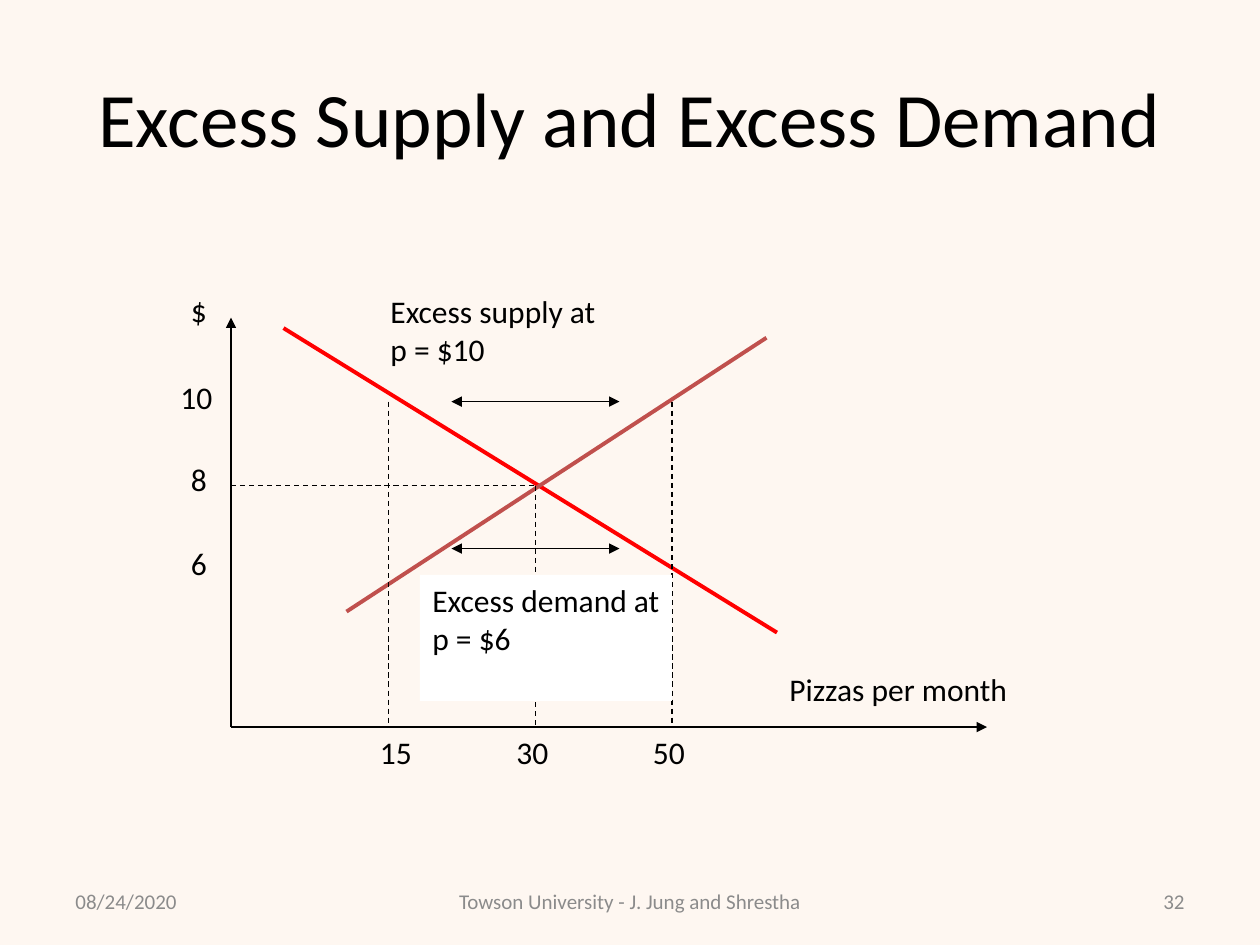
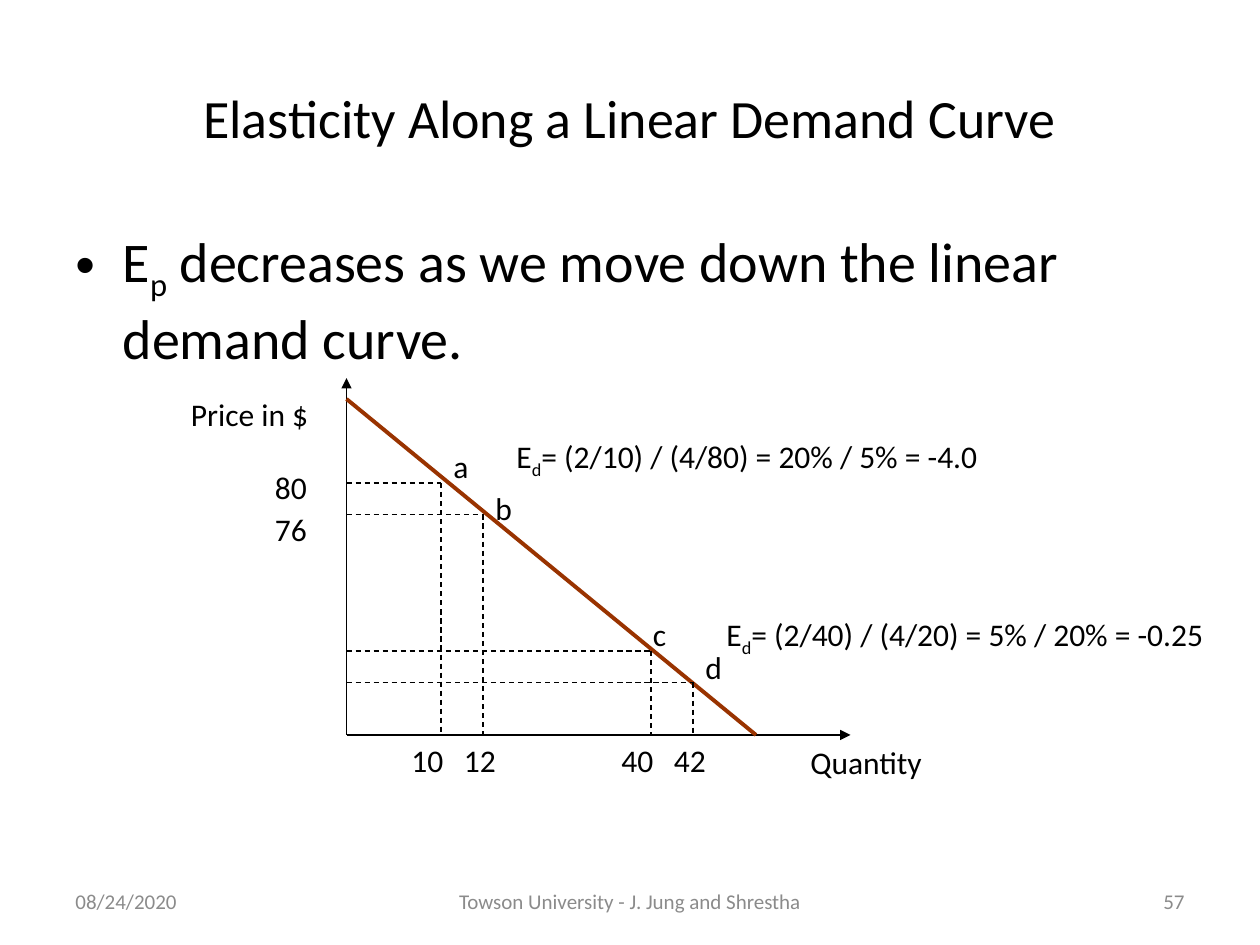
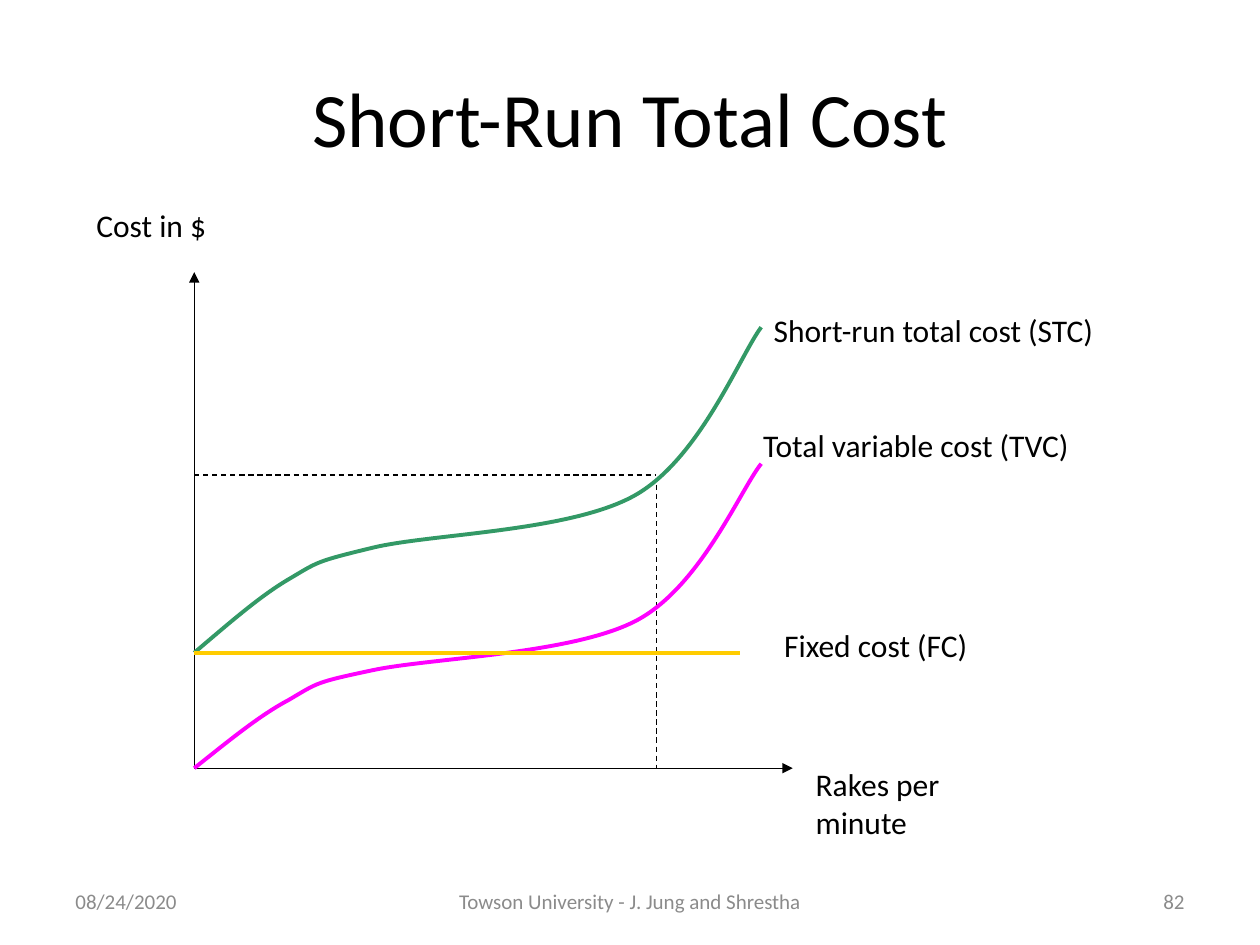
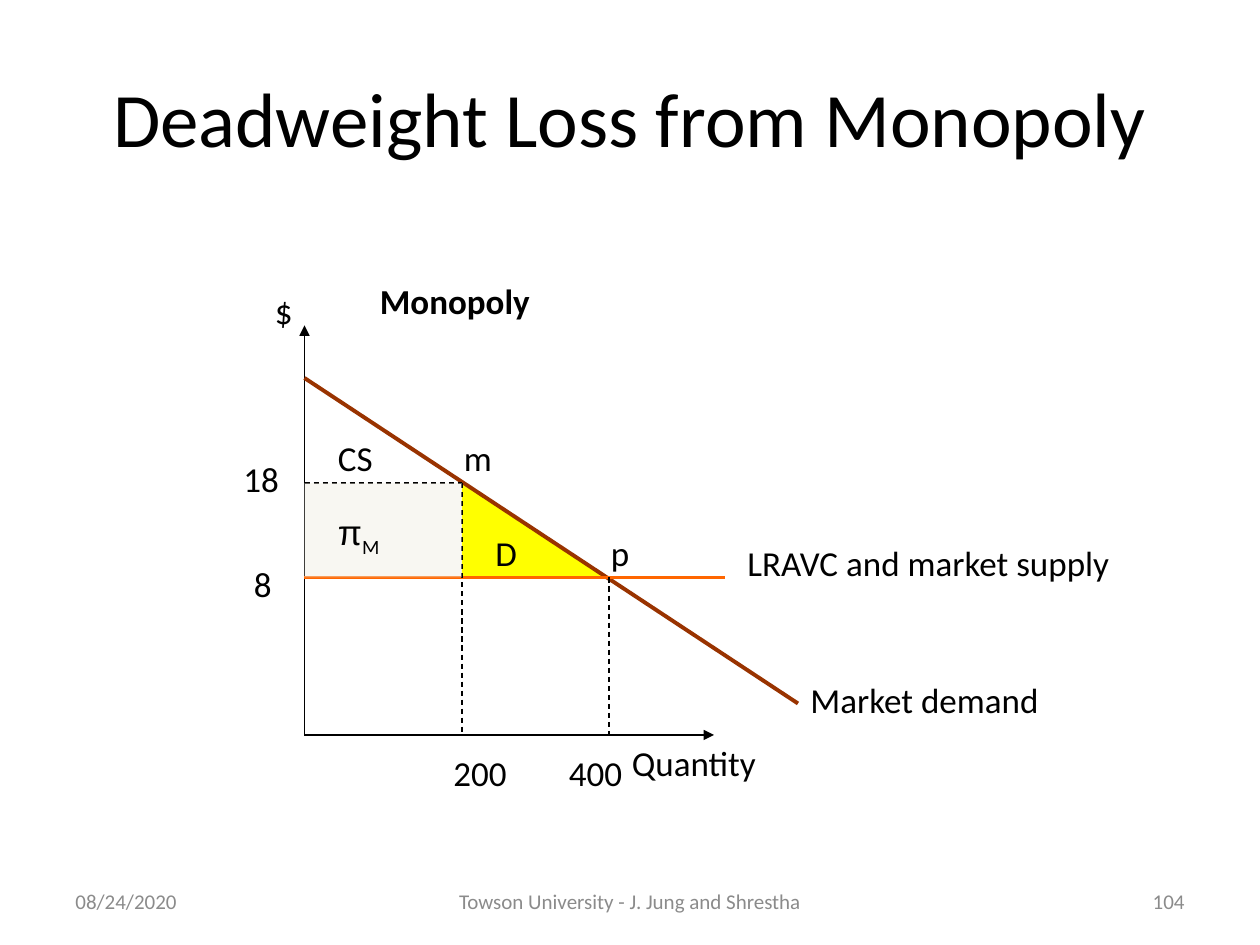
from lxml.etree import SubElement
from pptx import Presentation
from pptx.dml.color import RGBColor
from pptx.enum.dml import MSO_LINE
from pptx.enum.shapes import MSO_CONNECTOR as Connector, MSO_SHAPE as Preset
from pptx.enum.text import MSO_ANCHOR as Anchor, PP_ALIGN as Align
from pptx.oxml.ns import qn
from pptx.util import Pt

COLORS = {
    "text": "000000", "footer": "8B8B8B", "white": "FFFFFF", "cream": "FEF7F1",
    "red": "FF0000", "brick": "C0504D", "brown": "993300", "magenta": "FF00FF",
    "green": "339966", "gold": "FFCC00", "orange": "FF6600", "yellow": "FFFF00",
    "profit": "EEECE1",
}
FONT = "Calibri"
SUB = "sub"


def color(name):
    return RGBColor.from_string(COLORS[name])


class Deck:
    def __init__(self):
        self.presentation = Presentation()
        self.presentation.slide_width = Pt(720)
        self.presentation.slide_height = Pt(540)
        self.slide = None
        self.label_size = 18
        self.origin = (0, 0)

    def new_slide(self, title, number, title_size=44, background="white", label_size=18):
        self.slide = self.presentation.slides.add_slide(self.presentation.slide_layouts[6])
        self.slide.background.fill.solid()
        self.slide.background.fill.fore_color.rgb = color(background)
        self.label_size = label_size
        self.text(title, 36, 21.6, 648, 90, title_size, align=Align.CENTER, anchor=Anchor.MIDDLE)
        footers = (
            ("08/24/2020", 36, 168, Align.LEFT),
            ("Towson University - J. Jung and Shrestha", 246, 228, Align.CENTER),
            (number, 516, 168, Align.RIGHT),
        )
        for footer, left, width, align in footers:
            self.text(footer, left, 500.5, width, 28.8, 12, "footer", align, Anchor.MIDDLE)

    def text(self, content, left, top, width, height, size, ink="text",
             align=Align.LEFT, anchor=Anchor.TOP, bullet=False):
        box = self.slide.shapes.add_textbox(Pt(left), Pt(top), Pt(width), Pt(height))
        return self.put_text(box, content, size, ink, align, anchor, bullet)

    def put_text(self, shape, content, size, ink="text", align=Align.LEFT,
                 anchor=Anchor.TOP, bullet=False):
        frame = shape.text_frame
        frame.word_wrap = True
        frame.vertical_anchor = anchor
        paragraph = frame.paragraphs[0]
        paragraph.alignment = align
        if bullet:
            properties = paragraph._p.get_or_add_pPr()
            properties.set("marL", str(Pt(27)))
            properties.set("indent", str(-Pt(27)))
            SubElement(properties, qn("a:buFont")).set("typeface", "Arial")
            SubElement(properties, qn("a:buChar")).set("char", "•")
        for part in [content] if isinstance(content, str) else content:
            words, style = (part, FONT) if isinstance(part, str) else part
            for index, row in enumerate(words.split("\n")):
                if index:
                    paragraph.add_line_break()
                run = paragraph.add_run()
                run.text = row
                run.font.name = FONT if style == SUB else style
                run.font.size = Pt(size)
                run.font.color.rgb = color(ink)
                if style == SUB:
                    run._r.get_or_add_rPr().set("baseline", "-25000")
        return paragraph

    def labels(self, *rows):
        for content, left, top, width, *height in rows:
            tall = height[0] if height else self.label_size * 1.6
            self.text(content, left, top, width, tall, self.label_size)

    def line(self, start, end, ink="text", weight=2.25, dash=False, arrows=()):
        connector = self.slide.shapes.add_connector(
            Connector.STRAIGHT, *(Pt(value) for value in (*start, *end)))
        connector.line.color.rgb = color(ink)
        connector.line.width = Pt(weight)
        if dash:
            connector.line.dash_style = MSO_LINE.DASH
        for arrow in arrows:
            SubElement(connector.line._get_or_add_ln(), qn(f"a:{arrow}")).set("type", "triangle")
        SubElement(connector._element.spPr, qn("a:effectLst"))

    def axes(self, left, bottom, top, right):
        self.origin = (left, bottom)
        for end in ((left, top), (right, bottom)):
            self.line(self.origin, end, weight=0.75, arrows=("tailEnd",))

    def dashed(self, start, end):
        self.line(start, end, weight=0.75, dash=True)

    def drop(self, x, y):
        self.dashed((x, y), (x, self.origin[1]))

    def guides(self, x, y):
        self.dashed((self.origin[0], y), (x, y))
        self.drop(x, y)

    def area(self, preset, left, top, width, height, fill, opacity=None):
        shape = self.slide.shapes.add_shape(preset, Pt(left), Pt(top), Pt(width), Pt(height))
        shape.shadow.inherit = False
        shape.fill.solid()
        shape.fill.fore_color.rgb = color(fill)
        if opacity:
            fill_color = shape._element.spPr.find(f".//{qn('a:srgbClr')}")
            SubElement(fill_color, qn("a:alpha")).set("val", str(opacity * 1000))
        shape.line.fill.background()
        return shape

    def curve(self, points, ink):
        builder = self.slide.shapes.build_freeform(*points[0], scale=Pt(1))
        builder.add_line_segments(points[1:], close=False)
        shape = builder.convert_to_shape()
        shape.shadow.inherit = False
        shape.fill.background()
        shape.line.color.rgb = color(ink)
        shape.line.width = Pt(2.25)
        outline = shape._element.find(f".//{qn('a:path')}")
        segments = outline.findall(qn("a:lnTo"))
        for index in range(0, len(segments), 3):
            bezier = SubElement(outline, qn("a:cubicBezTo"))
            for segment in segments[index:index + 3]:
                bezier.append(segment[0])
                outline.remove(segment)


def excess_supply_and_demand(deck):
    deck.new_slide("Excess Supply and Excess Demand", "32", background="cream")
    deck.axes(132, 415.5, 181.5, 564)
    deck.line((162, 187.5), (444, 361.5), "red")
    deck.line((198, 349.5), (438, 193), "brick")
    deck.guides(306, 277.5)
    for x in (222, 384):
        deck.drop(x, 229.5)
    for y in (229.5, 313.5):
        deck.line((258, y), (354, y), weight=0.75, arrows=("headEnd", "tailEnd"))
    deck.labels(
        ("$", 102, 163, 48), ("10", 96, 212.5, 48), ("8", 102, 259.5, 30), ("6", 102, 307.5, 30),
        ("15", 210, 415.5, 36), ("30", 288, 415.5, 66), ("50", 366, 415.5, 66),
        ("Pizzas per month", 444, 379.5, 180),
        ("Excess supply at \np = $10", 216, 163.5, 168, 72),
    )
    note = deck.area(Preset.RECTANGLE, 240, 328.5, 144, 72, "white")
    deck.put_text(note, "Excess demand at p = $6", deck.label_size)


def elasticity(deck):
    deck.new_slide("Elasticity Along a Linear Demand Curve", "57", title_size=30.8)
    deck.text(("E", ("p", SUB), " decreases as we move down the linear demand curve."),
              36, 126, 648, 356.4, 32, bullet=True)
    deck.axes(198, 420, 216, 486)
    deck.line((198, 228), (432, 420), "brown")
    for x, y in ((252, 276), (276, 294), (372, 372), (396, 390)):
        deck.guides(x, y)
    deck.labels(
        ("Price in $", 102, 222, 108), ("80", 150, 264, 60), ("76", 150, 288, 60),
        ("10", 228, 420, 48), ("12", 258, 420, 48), ("40", 348, 420, 48), ("42", 378, 420, 60),
        ("Quantity", 456, 421, 240),
        ("a", 252, 252, 48), ("b", 276, 276, 30), ("c", 366, 348, 36), ("d", 396, 367, 24),
        (("E", ("d", SUB), "= (2/10) / (4/80) = 20% / 5% = -4.0"), 288, 246, 342, 53),
        (("E", ("d", SUB), "= (2/40) / (4/20) = 5% / 20% = -0.25"), 408, 348, 312, 53),
    )


def short_run_total_cost(deck):
    deck.new_slide("Short-Run Total Cost", "82")
    deck.axes(111, 439, 155.5, 453)
    deck.dashed((111, 271.5), (375, 271.5))
    deck.drop(375, 277)
    output = (111, 129.6, 147.6, 165, 182.2, 180, 213, 246.2, 326.2, 363, 399.6, 422.6, 435)
    variable_cost = (439, 424, 409, 399.6, 390.2, 390.2, 383, 375.8, 374.4, 355, 335.5, 280, 265)
    total_cost = (373, 357, 341.3, 331.2, 321, 321, 313.2, 305.3, 303.8, 283, 262, 203, 187.2)
    deck.curve(list(zip(output, variable_cost)), "magenta")
    deck.curve(list(zip(output, total_cost)), "green")
    deck.line((111, 373), (423, 373), "gold")
    deck.labels(
        ("Cost in $", 48, 114, 108), ("Rakes per minute", 459, 433.5, 102, 72),
        ("Short-run total cost (STC)", 435, 174, 228, 50),
        ("Total variable cost (TVC)", 429, 240, 234),
        ("Fixed cost (FC)", 441, 354, 144, 50),
    )


def deadweight_loss(deck):
    deck.new_slide("Deadweight Loss from Monopoly", "104", label_size=20)
    deck.area(Preset.RIGHT_TRIANGLE, 264, 276, 84, 54, "yellow")
    deck.axes(174, 420, 186, 408)
    deck.line((174, 216), (456, 402), "brown")
    deck.line((414, 330), (174, 330), "orange")
    deck.guides(264, 276)
    deck.drop(348, 330)
    deck.area(Preset.RECTANGLE, 174, 276, 90, 54, "profit", 41)
    deck.labels(
        ("$", 150, 162, 234), ("18", 132, 258, 42), ("8", 138, 318, 30),
        ("200", 252, 426, 60), ("400", 318, 426, 60), ("Quantity", 354, 420, 156),
        ("Market demand", 456, 384, 156, 55), ("LRAVC and market supply", 420, 306, 294),
        ("CS", 186, 246, 42), ("m", 258, 246, 72), ("D", 276, 300, 30), ("p", 342, 300, 36),
        ((("π", "Arial"), ("M", SUB)), 186, 288, 48, 34.5),
    )
    heading = deck.text("Monopoly", 210, 156, 216, 31, deck.label_size)
    heading.runs[0].font.bold = True


def main():
    deck = Deck()
    for build in (excess_supply_and_demand, elasticity, short_run_total_cost, deadweight_loss):
        build(deck)
    deck.presentation.save("out.pptx")


if __name__ == "__main__":
    main()
